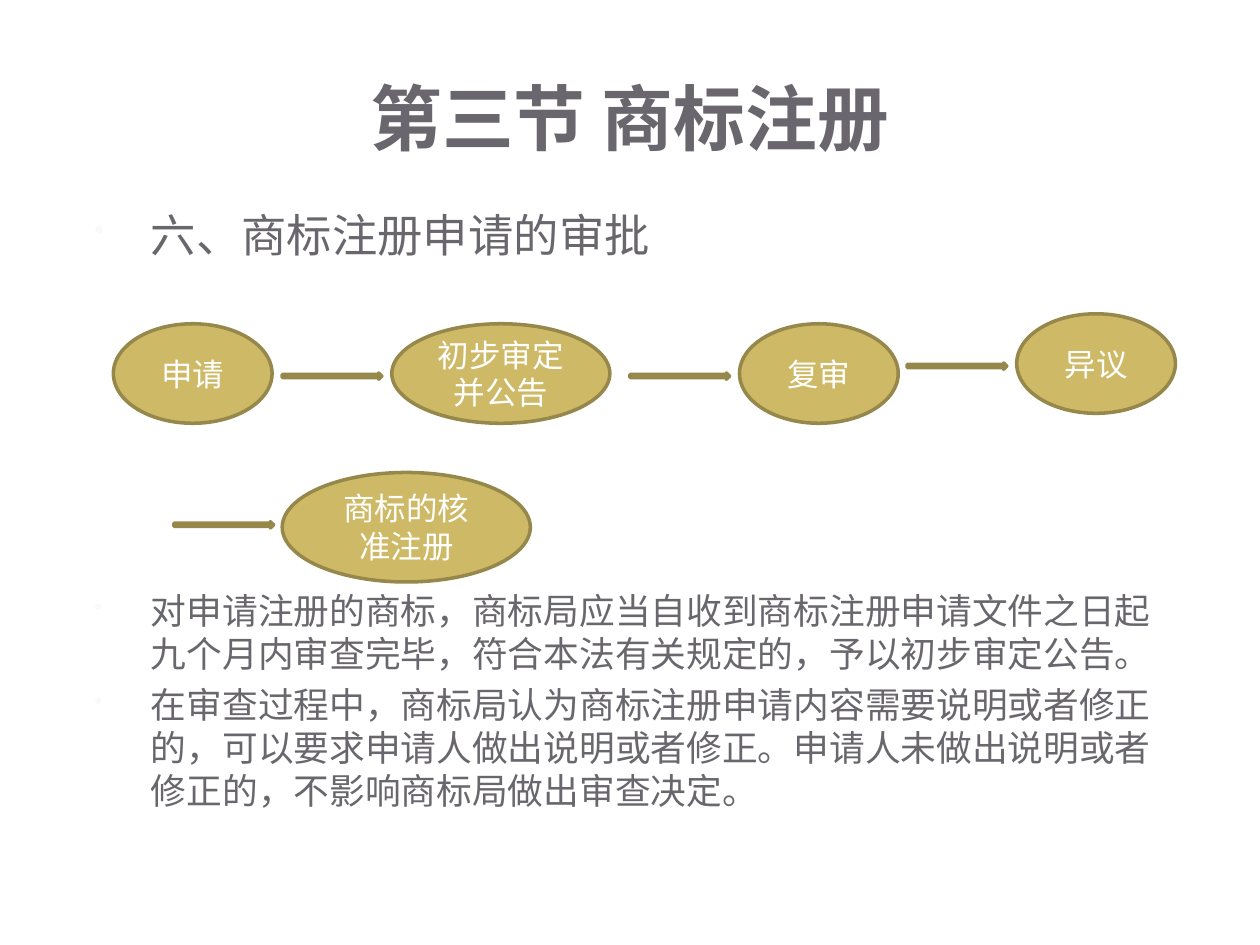
from lxml import etree
from pptx import Presentation
from pptx.dml.color import RGBColor
from pptx.enum.shapes import MSO_SHAPE as Preset
from pptx.enum.text import MSO_ANCHOR as Anchor, PP_ALIGN as Align
from pptx.oxml.ns import qn
from pptx.util import Pt

COLORS = {"text": "69676D", "bullet": "F9F9F9", "gold": "CEB966",
          "outline": "96874A", "white": "FFFFFF"}
CJK_FONT = "Noto Sans CJK SC"

# Steps of the approval process: label, left, top, width, height
STEPS = [
    ("申请", 64.8, 185, 90.7, 56.9),
    ("初步审定并公告", 223.9, 185, 124.6, 56.9),
    ("复审", 422.6, 185, 90.7, 56.9),
    ("异议", 581, 179.3, 90.7, 56.9),
    ("商标的核准注册", 161.3, 270, 141.8, 62.6),
]
# Arrows between the steps: left, top
ARROWS = [(161.3, 213.1), (360, 213.1), (518.4, 207.4), (99.4, 298.1)]
ARROW_WIDTH, ARROW_HEIGHT = 56.9, 3.6

HEADING = "六、商标注册申请的审批"
RULES = [
    "对申请注册的商标，商标局应当自收到商标注册申请文件之日起九个月内审查完毕，"
    "符合本法有关规定的，予以初步审定公告。",
    "在审查过程中，商标局认为商标注册申请内容需要说明或者修正的，可以要求申请人做出说明或者修正。"
    "申请人未做出说明或者修正的，不影响商标局做出审查决定。",
]


def color(name):
    return RGBColor.from_string(COLORS[name])


def add_bullet(paragraph):
    props = paragraph._p.get_or_add_pPr()
    props.set("marL", str(Pt(43.2)))
    props.set("indent", str(Pt(-32.4)))
    bullet_color = etree.SubElement(props, qn("a:buClr"))
    etree.SubElement(bullet_color, qn("a:srgbClr"), val=COLORS["bullet"])
    etree.SubElement(props, qn("a:buSzPct"), val="65000")
    etree.SubElement(props, qn("a:buChar"), char="•")


def write(frame, *texts, size, font=CJK_FONT, ink="text", bold=False, align=Align.LEFT,
          anchor=Anchor.TOP, bullet=False, line=None, gap=0):
    frame.word_wrap = True
    frame.vertical_anchor = anchor
    for index, text in enumerate(texts):
        paragraph = frame.add_paragraph() if index else frame.paragraphs[0]
        paragraph.alignment = align
        if line:
            paragraph.line_spacing = Pt(line)
        if index:
            paragraph.space_before = Pt(gap)
        if bullet:
            add_bullet(paragraph)
        run = paragraph.add_run()
        run.text = text
        run.font.size = Pt(size)
        run.font.bold = bold
        run.font.color.rgb = color(ink)
        run.font.name = font
        # East Asian typeface for the Chinese characters
        etree.SubElement(run._r.get_or_add_rPr(), qn("a:ea"), typeface=CJK_FONT)


def add_text(slide, left, top, width, height, *texts, **style):
    box = slide.shapes.add_textbox(Pt(left), Pt(top), Pt(width), Pt(height))
    write(box.text_frame, *texts, **style)


def add_gold_shape(slide, preset, left, top, width, height):
    shape = slide.shapes.add_shape(preset, Pt(left), Pt(top), Pt(width), Pt(height))
    shape.shadow.inherit = False
    shape.fill.solid()
    shape.fill.fore_color.rgb = color("gold")
    shape.line.color.rgb = color("outline")
    shape.line.width = Pt(2)
    return shape


def add_step(slide, label, *place):
    step = add_gold_shape(slide, Preset.OVAL, *place)
    write(step.text_frame, label, size=18, ink="white",
          align=Align.CENTER, anchor=Anchor.MIDDLE)


def main():
    prs = Presentation()
    prs.slide_width, prs.slide_height = Pt(720), Pt(540)
    slide = prs.slides.add_slide(prs.slide_layouts[6])

    # Title and section heading
    add_text(slide, 36, 21.6, 648, 90, "第三节 商标注册", size=41, font="Noto Sans",
             bold=True, align=Align.CENTER, anchor=Anchor.MIDDLE)
    add_text(slide, 36, 114.7, 648, 40, HEADING, size=25.9, font="Vollkorn",
             bullet=True, line=31)

    # Rules below the process
    add_text(slide, 36, 332.9, 648, 140, *RULES, size=20.4, font="Vollkorn",
             bullet=True, line=24.6, gap=4.5)

    # Approval process
    for left, top in ARROWS:
        add_gold_shape(slide, Preset.RIGHT_ARROW, left, top, ARROW_WIDTH, ARROW_HEIGHT)
    for step in STEPS:
        add_step(slide, *step)

    prs.save("out.pptx")


if __name__ == "__main__":
    main()
